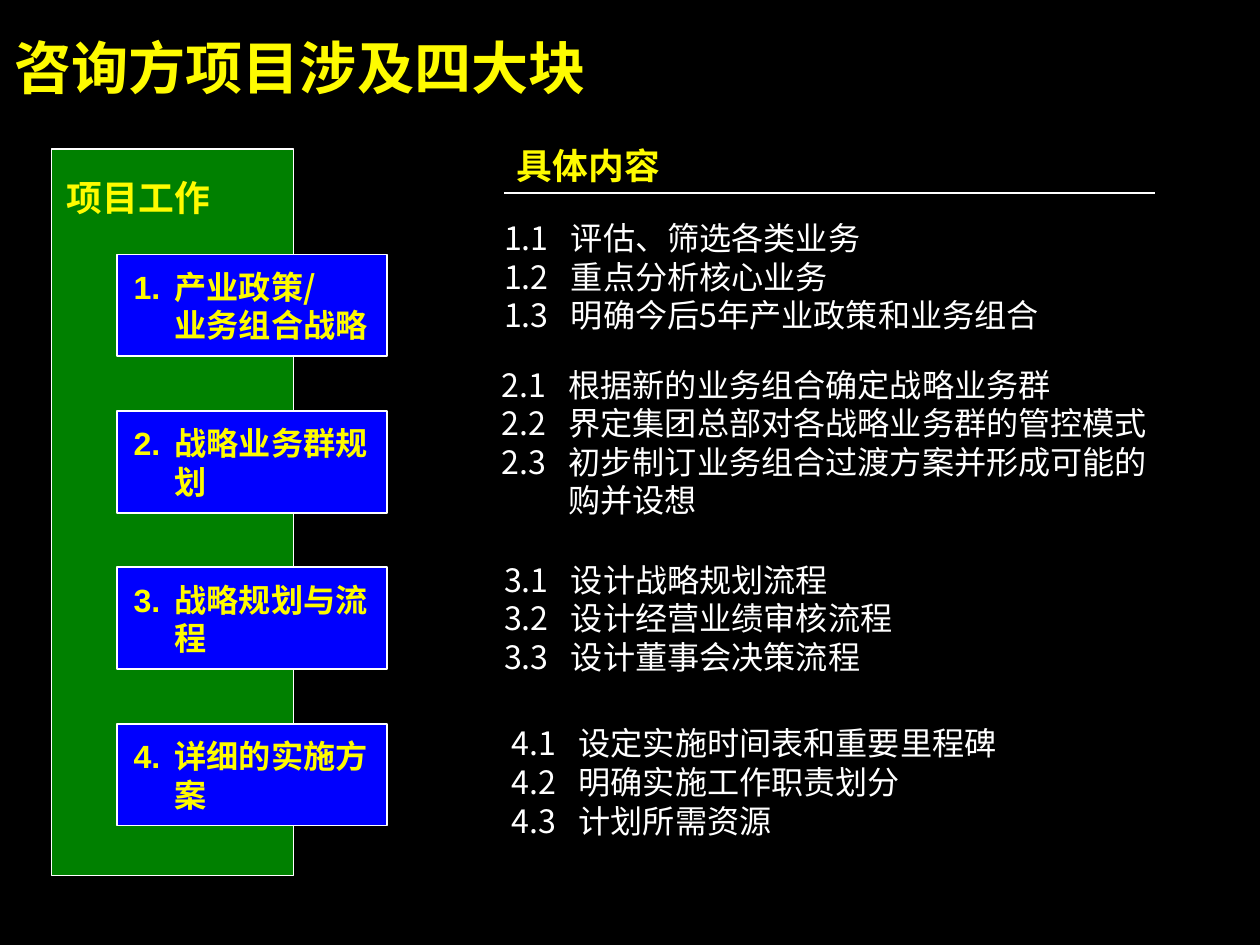
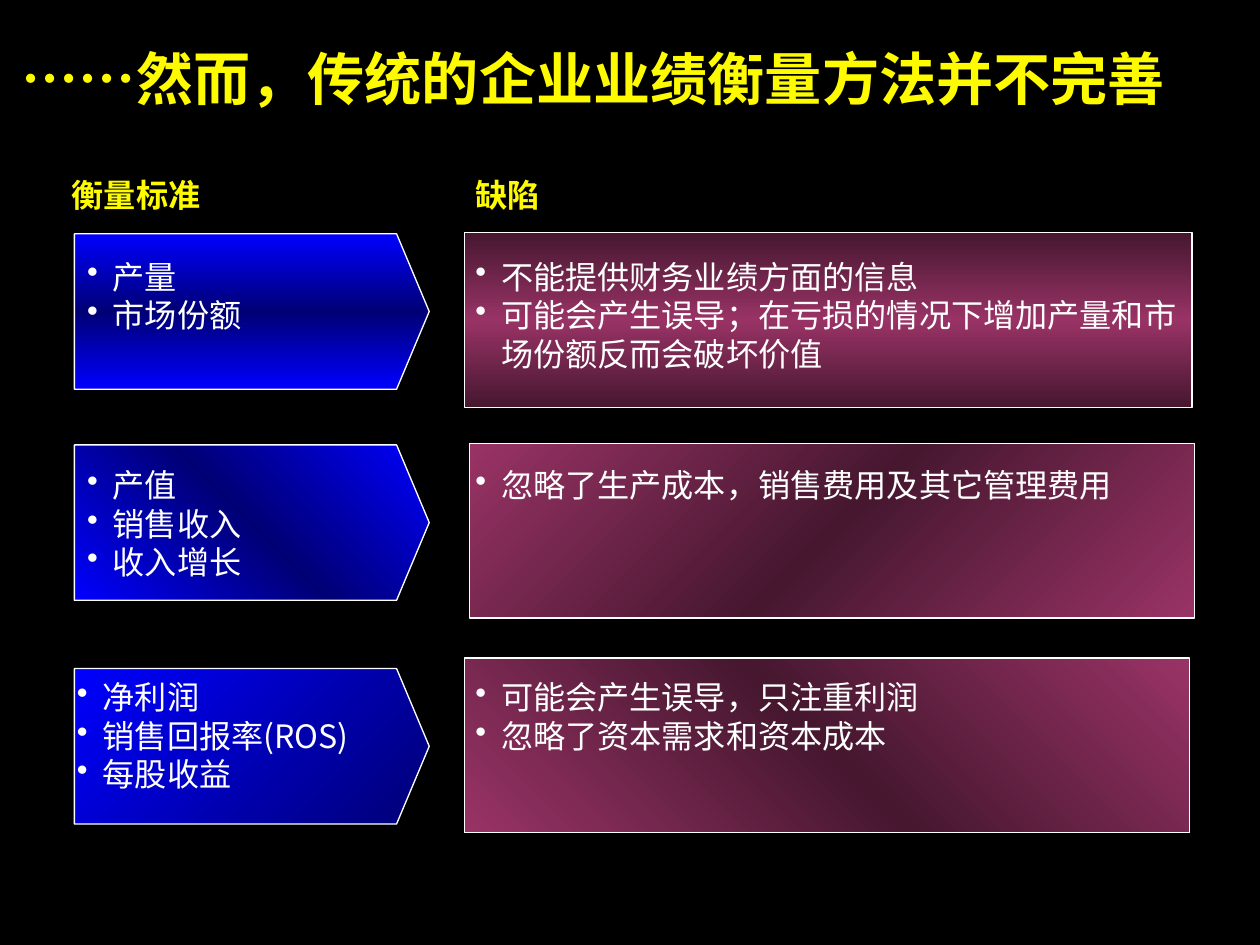
from dataclasses import dataclass
from lxml import etree
from pptx import Presentation
from pptx.dml.color import RGBColor
from pptx.enum import shapes
from pptx.oxml import ns
from pptx.util import Cm, Pt

BLACK = RGBColor(0x00, 0x00, 0x00)
WHITE = RGBColor(0xFF, 0xFF, 0xFF)
YELLOW = RGBColor(0xFE, 0xFB, 0x00)
GREEN = RGBColor(0x00, 0x80, 0x00)
BLUE = RGBColor(0x00, 0x00, 0xFE)
NAVY = RGBColor(0x00, 0x00, 0x75)
PLUM = RGBColor(0x99, 0x33, 0x66)
DARK_PLUM = RGBColor(0x46, 0x17, 0x2F)

LATIN = "Arial"
CJK = "Noto Sans CJK SC"
RECTANGLE = shapes.MSO_SHAPE.RECTANGLE
ARROW_BLOCK = shapes.MSO_SHAPE.PENTAGON


@dataclass(frozen=True)
class Style:
    size: float = 18
    color: RGBColor = WHITE
    bold: bool = False
    font: str = CJK
    hanging: float = 0
    bullet: bool = False
    line_points: float = 0
    inset: tuple[float, float] = (0, 0)


TITLE = Style(size=32, color=YELLOW, bold=True)
HEADING = Style(size=20, color=YELLOW, bold=True)
CARD = Style(color=YELLOW, bold=True, font=LATIN, hanging=0.81)
DETAIL = Style(hanging=1.32)
COLUMN_HEADING = Style(color=YELLOW, bold=True, line_points=20.1, inset=(0.25, 0.13))
BULLETS = Style(hanging=0.51, bullet=True, inset=(0.25, 0.13))


@dataclass(frozen=True)
class Module:
    label: list[str]
    left: float
    top: float
    details: list[str]


@dataclass(frozen=True)
class Gradient:
    colors: list[RGBColor]
    angle: int  # clockwise degrees


@dataclass(frozen=True)
class Panel:
    left: float
    top: float
    width: float
    gradient: Gradient
    text_left: float
    lines: list[str]


@dataclass(frozen=True)
class Comparison:
    text_top: float
    measure: Panel
    flaw: Panel


MODULES = [
    Module(["产业政策/", "业务组合战略"], 9.96, 4.32,
           ["评估、筛选各类业务", "重点分析核心业务", "明确今后5年产业政策和业务组合"]),
    Module(["战略业务群规划"], 9.91, 7.21,
           ["根据新的业务组合确定战略业务群", "界定集团总部对各战略业务群的管控模式",
            "初步制订业务组合过渡方案并形成可能的购并设想"]),
    Module(["战略规划与流程"], 9.96, 11.07,
           ["设计战略规划流程", "设计经营业绩审核流程", "设计董事会决策流程"]),
    Module(["详细的实施方案"], 10.11, 14.3,
           ["设定实施时间表和重要里程碑", "明确实施工作职责划分", "计划所需资源"]),
]

BLUE_BAND = [BLUE, NAVY, BLUE]
PLUM_BAND = [PLUM, DARK_PLUM, PLUM]
COMPARISONS = [
    Comparison(
        4.95,
        Panel(1.47, 4.62, 7.01, Gradient(BLUE_BAND, 90), 1.47, ["产量", "市场份额"]),
        Panel(9.17, 4.6, 14.38, Gradient([DARK_PLUM, PLUM, DARK_PLUM], 90), 9.14,
              ["不能提供财务业绩方面的信息",
               "可能会产生误导；在亏损的情况下增加产量和市场份额反而会破坏价值"])),
    Comparison(
        9.07,
        Panel(1.47, 8.79, 7.01, Gradient(BLUE_BAND, 135), 1.47,
              ["产值", "销售收入", "收入增长"]),
        Panel(9.27, 8.76, 14.33, Gradient(PLUM_BAND, 225), 9.14,
              ["忽略了生产成本，销售费用及其它管理费用"])),
    Comparison(
        13.26,
        Panel(1.47, 13.21, 7.01, Gradient([NAVY, BLUE], 225), 1.27,
              ["净利润", "销售回报率(ROS)", "每股收益"]),
        Panel(9.17, 13.0, 14.33, Gradient(PLUM_BAND, 135), 9.14,
              ["可能会产生误导，只注重利润", "忽略了资本需求和资本成本"])),
]


def style_paragraph(paragraph, style: Style) -> None:
    properties = paragraph._p.get_or_add_pPr()
    if style.hanging:
        properties.set("marL", str(Cm(style.hanging)))
        properties.set("indent", str(-Cm(style.hanging)))
    if style.line_points:
        paragraph.line_spacing = Pt(style.line_points)
    if style.bullet:
        bullet_color = etree.SubElement(properties, ns.qn("a:buClr"))
        etree.SubElement(bullet_color, ns.qn("a:srgbClr"), val=str(style.color))
        etree.SubElement(properties, ns.qn("a:buChar"), char="•")
    font = paragraph.font
    font.size = Pt(style.size)
    font.bold = style.bold
    font.color.rgb = style.color
    font.name = style.font
    # East Asian face, which python-pptx does not expose
    defaults = properties.find(ns.qn("a:defRPr"))
    etree.SubElement(defaults, ns.qn("a:ea"), typeface=CJK)


def add_text(slide, left: float, top: float, width: float, height: float,
             lines: list[str], style: Style):
    frame = slide.shapes.add_textbox(Cm(left), Cm(top), Cm(width), Cm(height)).text_frame
    frame.word_wrap = True
    frame.margin_left = frame.margin_right = Cm(style.inset[0])
    frame.margin_top = frame.margin_bottom = Cm(style.inset[1])
    for index, line in enumerate(lines):
        paragraph = frame.add_paragraph() if index else frame.paragraphs[0]
        paragraph.text = line
        style_paragraph(paragraph, style)
    return frame


def add_block(slide, preset, left: float, top: float, width: float, height: float,
              fill: RGBColor | Gradient, line_width: float):
    block = slide.shapes.add_shape(preset, Cm(left), Cm(top), Cm(width), Cm(height))
    block.shadow.inherit = False
    block.line.color.rgb = WHITE
    block.line.width = Pt(line_width)
    if isinstance(fill, Gradient):
        block.fill.gradient()
        block.fill.gradient_angle = 360 - fill.angle
        stops = block._element.spPr.find(".//" + ns.qn("a:gsLst"))
        for stop in list(stops):
            stops.remove(stop)
        for index, color in enumerate(fill.colors):
            position = 100000 * index // (len(fill.colors) - 1)
            stop = etree.SubElement(stops, ns.qn("a:gs"), pos=str(position))
            etree.SubElement(stop, ns.qn("a:srgbClr"), val=str(color))
    else:
        block.fill.solid()
        block.fill.fore_color.rgb = fill
    return block


def add_rule(slide, left: float, right: float, y: float) -> None:
    rule = slide.shapes.add_connector(
        shapes.MSO_CONNECTOR.STRAIGHT, Cm(left), Cm(y), Cm(right), Cm(y))
    rule.line.color.rgb = WHITE
    rule.line.width = Pt(1)
    etree.SubElement(rule._element.spPr, ns.qn("a:effectLst"))


def add_titled_slide(deck, title: str, left: float, top: float):
    slide = deck.slides.add_slide(deck.slide_layouts[6])
    add_text(slide, left, top, 24.1, 1.35, [title], TITLE)
    return slide


def add_card(slide, number: int, label: list[str], top: float) -> None:
    add_block(slide, RECTANGLE, 2.31, top, 5.33, 2.01, BLUE, 1)
    frame = add_text(slide, 2.64, top + 0.25, 4.72, 1.52, [f"{number}.\t"], CARD)
    paragraph = frame.paragraphs[0]
    for index, line in enumerate(label):
        if index:
            paragraph.add_line_break()
        run = paragraph.add_run()
        run.text = line
        run.font.name = CJK


def build_modules(deck) -> None:
    slide = add_titled_slide(deck, "咨询方项目涉及四大块", 0.28, 0.64)
    # Work band and column headings
    add_block(slide, RECTANGLE, 1.02, 2.95, 4.78, 14.35, GREEN, 1)
    add_text(slide, 1.32, 3.48, 3.05, 0.84, ["项目工作"], HEADING)
    add_text(slide, 10.21, 2.84, 3.05, 0.84, ["具体内容"], HEADING)
    add_rule(slide, 9.96, 22.81, 3.81)
    # Numbered cards with their details
    for number, module in enumerate(MODULES, 1):
        add_card(slide, number, module.label, 5.03 + 3.09 * (number - 1))
        details = [f"{number}.{item}\t{detail}"
                   for item, detail in enumerate(module.details, 1)]
        add_text(slide, module.left, module.top, 13.1, 2.29, details, DETAIL)


def build_comparison(deck) -> None:
    slide = add_titled_slide(deck, "……然而，传统的企业业绩衡量方法并不完善", 0.43, 0.86)
    # Column headings
    for left, heading in ((1.17, "衡量标准"), (9.14, "缺陷")):
        add_text(slide, left, 3.38, 6.73, 0.97, [heading], COLUMN_HEADING)
    # Measures on the left, their flaws on the right
    for row in COMPARISONS:
        for panel, preset, height, text_width in (
                (row.measure, ARROW_BLOCK, 3.07, 6.5), (row.flaw, RECTANGLE, 3.45, 14.4)):
            block = add_block(slide, preset, panel.left, panel.top, panel.width, height,
                              panel.gradient, 0.75)
            if preset == ARROW_BLOCK:
                block.adjustments[0] = 0.21
            add_text(slide, panel.text_left, row.text_top, text_width, 2.54,
                     panel.lines, BULLETS)


def main() -> None:
    deck = Presentation()
    deck.slide_width, deck.slide_height = Cm(24.89), Cm(18.67)
    # Shared background
    background = deck.slide_master.background.fill
    background.solid()
    background.fore_color.rgb = BLACK
    build_modules(deck)
    build_comparison(deck)
    deck.save("out.pptx")


if __name__ == "__main__":
    main()
